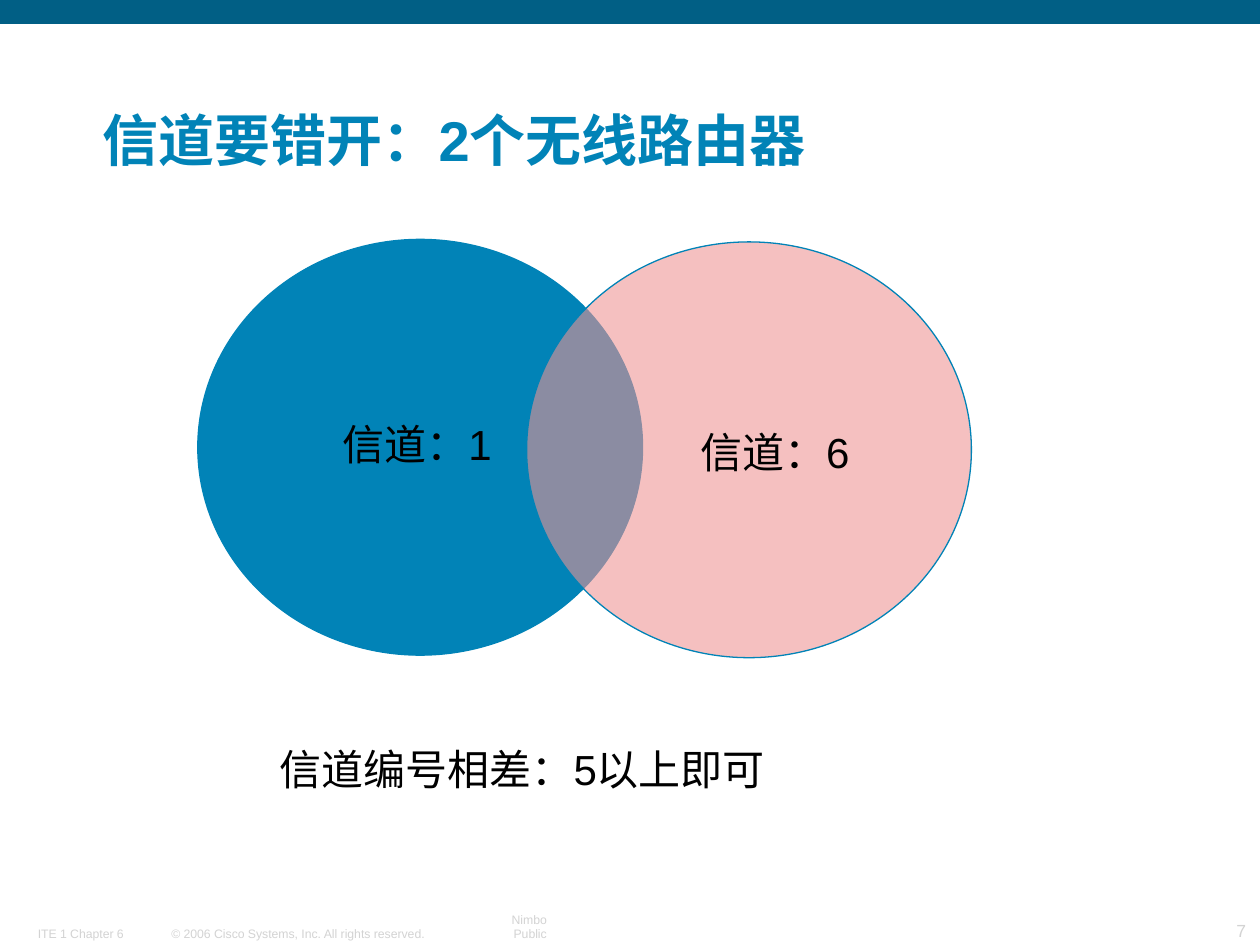
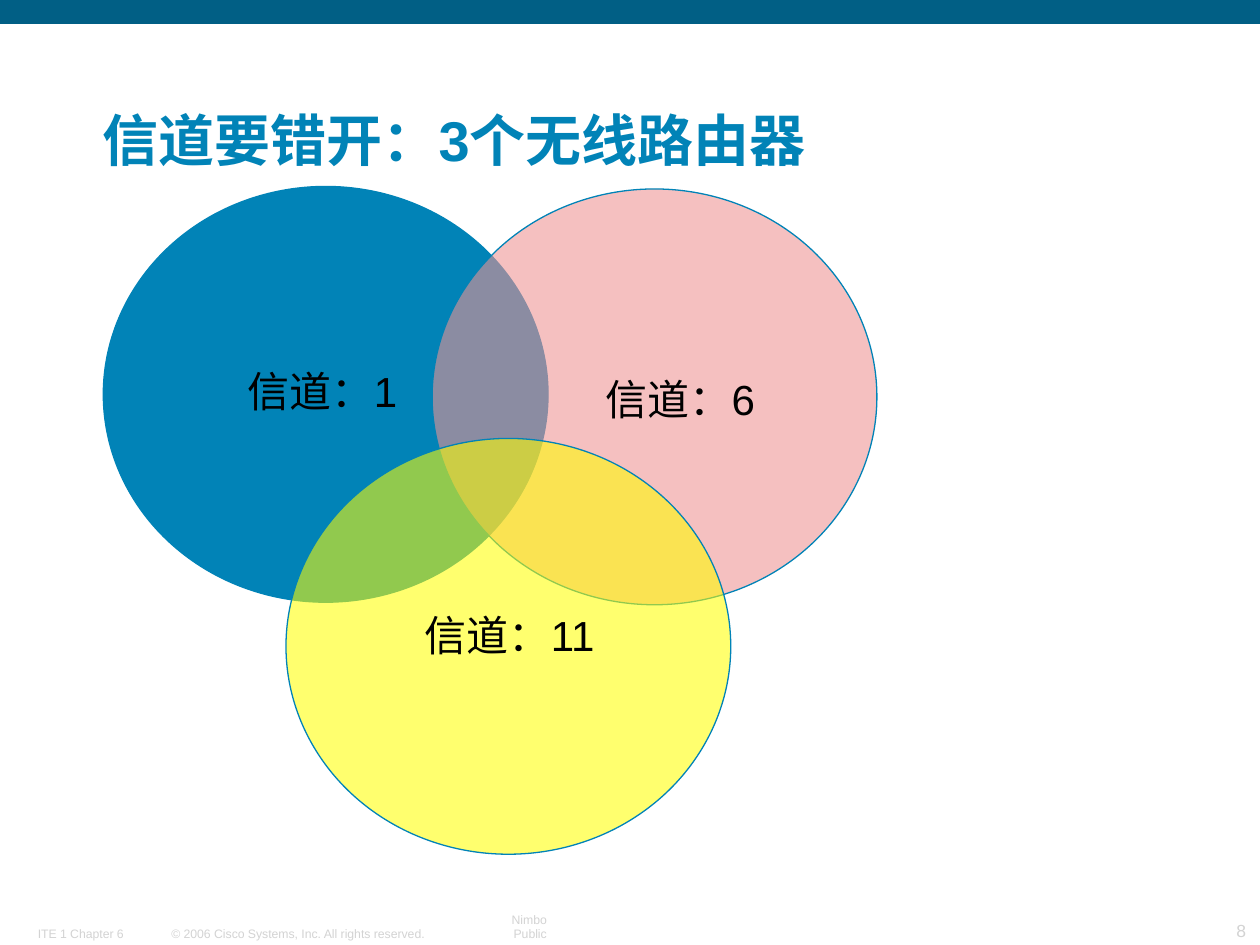
from lxml.etree import SubElement
from pptx import Presentation
from pptx.dml.color import RGBColor
from pptx.enum.shapes import MSO_SHAPE
from pptx.enum.text import MSO_ANCHOR, PP_ALIGN
from pptx.oxml.ns import qn
from pptx.util import Inches, Pt

HUES = {"band": "015F85", "blue": "0183B7", "pink": "EF9494",
        "yellow": "FFFF00", "ink": "000000", "grey": "D3D3D3"}
WIDE, HIGH = 10, 7.5
DISC = (3.53, 3.3)
LINE = 0.46
RINGS = [
    {"text": "信道：1", "at": (0, 0), "label": (1.01, 1.42, 1.46), "hue": "blue", "alpha": 100},
    {"text": "信道：6", "at": (2.61, 0.02), "label": (3.85, 1.48, 1.46), "hue": "pink", "alpha": 58},
    {"text": "信道：11", "at": (1.45, 2), "label": (2.4, 3.35, 1.65), "hue": "yellow", "alpha": 57},
]
SLIDES = [
    {"page": 7, "count": 2, "start": (1.57, 1.9),
     "note": ("信道编号相差：5以上即可", (2.04, 5.9, 4.21, LINE))},
    {"page": 8, "count": 3, "start": (0.82, 1.48), "note": None},
]
FOOTER = [
    ("© 2006 Cisco Systems, Inc. All rights reserved.", 1.27, 2.2, "left"),
    ("Nimbo Public", 3.72, 0.71, "right"),
    ("ITE 1 Chapter 6", 0.21, 1.05, "left"),
]
ALIGN = {"left": PP_ALIGN.LEFT, "center": PP_ALIGN.CENTER, "right": PP_ALIGN.RIGHT}


def color(name):
    return RGBColor.from_string(HUES[name])


def write(slide, text, box, size=24, hue="ink", bold=False, align="center",
          space=0.9, low=False, wrap=False):
    frame = slide.shapes.add_textbox(*map(Inches, box)).text_frame
    frame.word_wrap = wrap
    frame.vertical_anchor = MSO_ANCHOR.BOTTOM if low else MSO_ANCHOR.TOP
    side, edge = (0.09, 0.04) if low else (0.1, 0.05)
    frame.margin_left = frame.margin_right = Inches(side)
    frame.margin_top = frame.margin_bottom = Inches(edge)
    para = frame.paragraphs[0]
    para.alignment = ALIGN[align]
    para.line_spacing = space
    run = para.add_run()
    run.text = text
    run.font.name = "Arial"
    run.font.size = Pt(size)
    run.font.bold = bold
    run.font.color.rgb = color(hue)


def draw(slide, kind, box, hue, line=None, alpha=100):
    shape = slide.shapes.add_shape(kind, *map(Inches, box))
    shape.shadow.inherit = False
    shape.fill.solid()
    shape.fill.fore_color.rgb = color(hue)
    if alpha < 100:
        tint = shape.element.spPr.find(qn("a:solidFill")).find(qn("a:srgbClr"))
        SubElement(tint, qn("a:alpha")).set("val", str(alpha * 1000))
    if line:
        shape.line.color.rgb = color(line)
        shape.line.width = Pt(0.75)
    else:
        shape.line.fill.background()


def frame(slide, page, title):
    draw(slide, MSO_SHAPE.RECTANGLE, (0, 0, WIDE, 0.19), "band")
    for text, left, width, align in FOOTER:
        write(slide, text, (left, 7.3, width, 0.21), size=7, hue="grey",
              align=align, space=1, low=True)
    write(slide, str(page), (9.17, 7.25, 0.81, 0.26), size=10, hue="grey",
          align="right", space=1, low=True)
    write(slide, title, (0.72, 0.5, 8.91, 0.92), size=32, hue="blue",
          bold=True, align="left", low=True, wrap=True)


def venn(slide, rings, start):
    x, y = start
    for ring in rings:
        dx, dy = ring["at"]
        draw(slide, MSO_SHAPE.OVAL, (x + dx, y + dy, *DISC), ring["hue"],
             line="blue", alpha=ring["alpha"])
    for ring in rings:
        dx, dy, width = ring["label"]
        write(slide, ring["text"], (x + dx, y + dy, width, LINE))


def main():
    deck = Presentation()
    deck.slide_width, deck.slide_height = Inches(WIDE), Inches(HIGH)
    for item in SLIDES:
        slide = deck.slides.add_slide(deck.slide_layouts[6])
        frame(slide, item["page"], f"信道要错开：{item['count']}个无线路由器")
        venn(slide, RINGS[:item["count"]], item["start"])
        if item["note"]:
            write(slide, *item["note"])
    deck.save("out.pptx")


if __name__ == "__main__":
    main()
